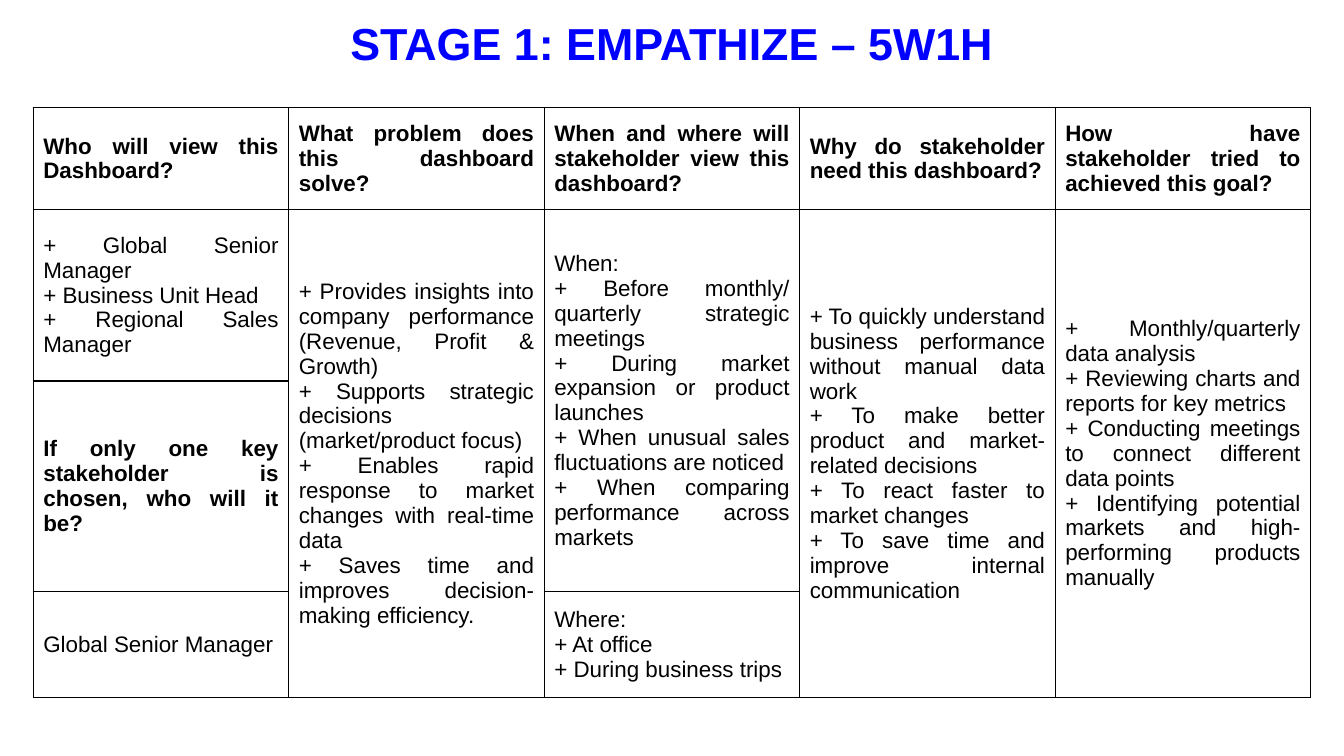
from dataclasses import dataclass

from lxml import etree
from pptx import Presentation
from pptx import util as u
from pptx.dml import color
from pptx.enum import text
from pptx.oxml import ns


@dataclass(frozen=True)
class Theme:
    font: str = "Arial"
    title_color: str = "0000FF"
    ink: str = "000000"
    title_size: int = 32
    body_size: int = 16
    border_width: int = 1


THEME = Theme()
TITLE = "STAGE 1: EMPATHIZE – 5W1H"
TITLE_BOX = (0, 0.1, 13.33, 0.64)
TABLE_BOX = (0.33, 1.07, 12.67, 5.85)
ROW_HEIGHTS = (1.01, 1.7, 2.09, 1.05)

QUESTIONS = {
    (0, 0): "Who will view this Dashboard?",
    (0, 1): "What problem does this dashboard solve?",
    (0, 2): "When and where will stakeholder view this dashboard?",
    (0, 3): "Why do stakeholder need this dashboard?",
    (0, 4): "How have stakeholder tried to achieved this goal?",
    (2, 0): "If only one key stakeholder is chosen, who will it be?",
}
ANSWERS = {
    (1, 0): ["+ Global Senior Manager", "+ Business Unit Head", "+ Regional Sales Manager"],
    (1, 1): [
        "+ Provides insights into company performance (Revenue, Profit & Growth)",
        "+ Supports strategic decisions (market/product focus)",
        "+ Enables rapid response to market changes with real-time data",
        "+ Saves time and improves decision-making efficiency.",
    ],
    (1, 2): [
        "When:",
        "+ Before monthly/ quarterly strategic meetings",
        "+ During market expansion or product launches",
        "+ When unusual sales fluctuations are noticed",
        "+ When comparing performance across markets",
    ],
    (1, 3): [
        "+ To quickly understand business performance without manual data work",
        "+ To make better product and market-related decisions",
        "+ To react faster to market changes",
        "+ To save time and improve internal communication",
    ],
    (1, 4): [
        "+ Monthly/quarterly data analysis",
        "+ Reviewing charts and reports for key metrics",
        "+ Conducting meetings to connect different data points",
        "+ Identifying potential markets and high-performing products manually",
    ],
    (3, 0): ["Global Senior Manager"],
    (3, 2): ["Where:", "+ At office", "+ During business trips"],
}
LAST_MERGED_ROW = {1: 3, 2: 2, 3: 3, 4: 3}


def apply(target, values):
    for name, value in values.items():
        setattr(target, name, value)


def write(text_frame, lines, alignment, size, ink, bold):
    text_frame.text = "\n".join(lines)
    for paragraph in text_frame.paragraphs:
        paragraph.alignment = alignment
        for run in paragraph.runs:
            apply(run.font, {"name": THEME.font, "size": u.Pt(size), "bold": bold})
            run.font.color.rgb = color.RGBColor.from_string(ink)


def draw_borders(cell):
    properties = cell._tc.get_or_add_tcPr()
    for side in ("lnL", "lnR", "lnT", "lnB"):
        line = etree.SubElement(properties, ns.qn(f"a:{side}"), w=str(u.Pt(THEME.border_width)))
        fill = etree.SubElement(line, ns.qn("a:solidFill"))
        etree.SubElement(fill, ns.qn("a:srgbClr"), val=THEME.ink)


def add_title(slide, box):
    title = slide.shapes.title
    apply(title, dict(zip(("left", "top", "width", "height"), map(u.Inches, box))))
    apply(title.text_frame, {"word_wrap": True, "vertical_anchor": text.MSO_ANCHOR.MIDDLE})
    write(title.text_frame, [TITLE], text.PP_ALIGN.CENTER,
          THEME.title_size, THEME.title_color, True)


def add_question_table(slide, box):
    columns = 5
    frame = slide.shapes.add_table(len(ROW_HEIGHTS), columns, *map(u.Inches, box))
    table = frame.table
    apply(table, {"first_row": False, "horz_banding": False})
    for column in table.columns:
        column.width = u.Inches(box[2] / columns)
    for row, height in zip(table.rows, ROW_HEIGHTS):
        row.height = u.Inches(height)
    for cell in table.iter_cells():
        draw_borders(cell)
        cell.fill.background()
        cell.vertical_anchor = text.MSO_ANCHOR.MIDDLE
    for column, last_row in LAST_MERGED_ROW.items():
        table.cell(1, column).merge(table.cell(last_row, column))
    for position, question in QUESTIONS.items():
        write(table.cell(*position).text_frame, [question], text.PP_ALIGN.JUSTIFY,
              THEME.body_size, THEME.ink, True)
    for position, answers in ANSWERS.items():
        write(table.cell(*position).text_frame, answers, text.PP_ALIGN.JUSTIFY,
              THEME.body_size, THEME.ink, False)


def main():
    presentation = Presentation()
    apply(presentation, {"slide_width": u.Inches(13.33), "slide_height": u.Inches(7.5)})
    slide = presentation.slides.add_slide(presentation.slide_layouts.get_by_name("Title Only"))
    add_title(slide, TITLE_BOX)
    add_question_table(slide, TABLE_BOX)
    presentation.save("out.pptx")


if __name__ == "__main__":
    main()
